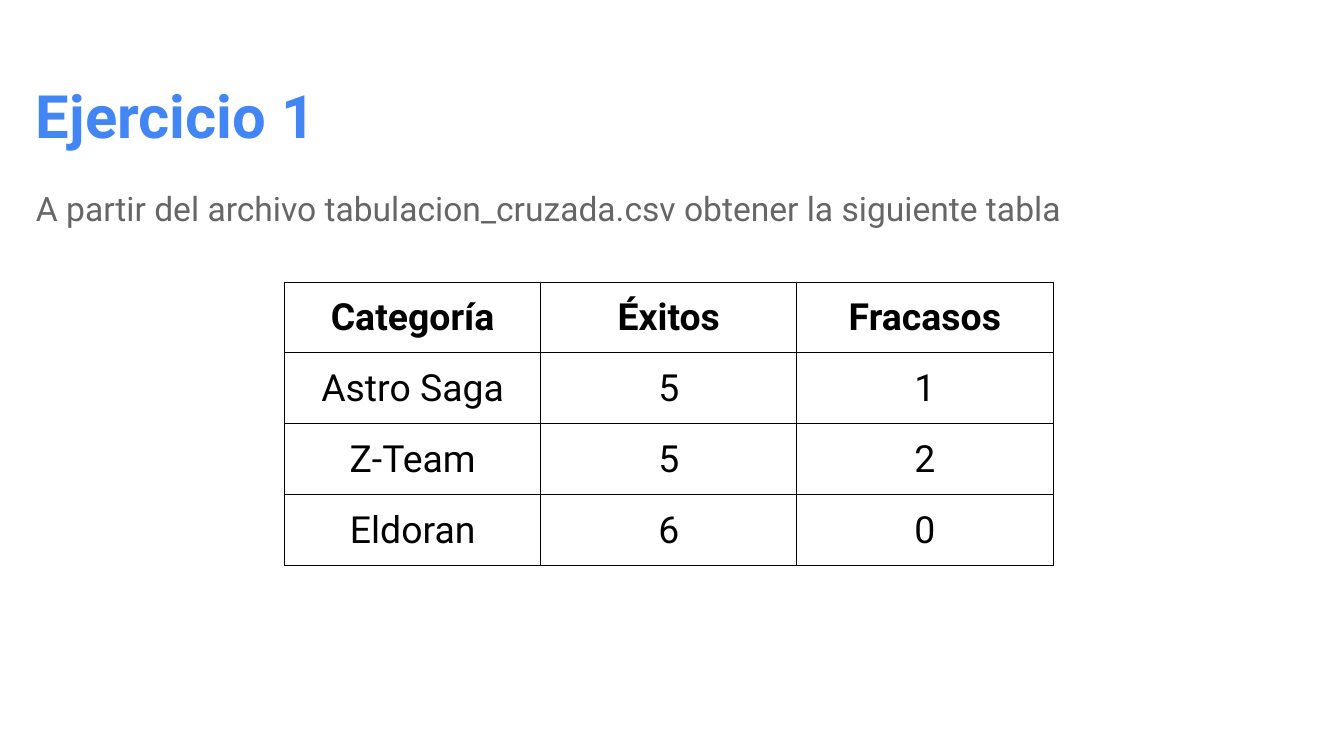
from pptx import Presentation
from pptx.dml.color import RGBColor
from pptx.enum.text import MSO_ANCHOR, MSO_AUTO_SIZE, PP_ALIGN
from pptx.oxml import parse_xml
from pptx.oxml.ns import nsdecls
from pptx.util import Cm, Pt

FONT = "Roboto"
BLUE = RGBColor(0x42, 0x85, 0xF4)
GRAY = RGBColor(0x66, 0x66, 0x66)
BLACK = RGBColor(0, 0, 0)

ROWS = [
    ("Categoría", "Éxitos", "Fracasos"),
    ("Astro Saga", "5", "1"),
    ("Z-Team", "5", "2"),
    ("Eldoran", "6", "0"),
]


def write(tf, text, size=20, color=BLACK, bold=False, align=PP_ALIGN.LEFT,
          line=1.0, after=0):
    """Write one formatted paragraph into a text frame."""
    p = tf.paragraphs[0]
    p.alignment, p.line_spacing = align, line
    p.space_before, p.space_after = Pt(0), Pt(after)
    r = p.add_run()
    r.text = text
    r.font.name, r.font.size, r.font.bold = FONT, Pt(size), bold
    r.font.color.rgb = color


def fill_placeholder(sp, top, height, text, **fmt):
    """Place a placeholder across the slide and fill it with text."""
    sp.left, sp.top, sp.width, sp.height = Cm(0.43), top, Cm(24.38), height
    tf = sp.text_frame
    tf.word_wrap, tf.auto_size = True, MSO_AUTO_SIZE.NONE
    tf.vertical_anchor = MSO_ANCHOR.TOP
    tf.margin_left = tf.margin_right = Cm(0.25)
    tf.margin_top = tf.margin_bottom = Cm(0.25)
    pPr = tf.paragraphs[0]._p.get_or_add_pPr()
    pPr.set("marL", "0")
    pPr.set("indent", "0")
    pPr.append(parse_xml(f"<a:buNone {nsdecls('a')}/>"))
    write(tf, text, **fmt)


def add_borders(cell):
    """Draw a thin black line on each side of a cell."""
    tcPr = cell._tc.get_or_add_tcPr()
    for i, side in enumerate(("lnL", "lnR", "lnT", "lnB")):
        tcPr.insert(i, parse_xml(
            f'<a:{side} {nsdecls("a")} w="{Pt(0.5)}"><a:solidFill>'
            f'<a:srgbClr val="{BLACK}"/></a:solidFill></a:{side}>'))


def add_results(s, rows):
    """Add the table of results with a bold header row."""
    col_w, row_h = Cm(4.84), Cm(1.34)
    n_cols = len(rows[0])
    table = s.shapes.add_table(len(rows), n_cols, Cm(5.38), Cm(5.33),
                               col_w * n_cols, row_h * len(rows)).table
    table.first_row = table.horz_banding = False
    for col in table.columns:
        col.width = col_w
    for i, values in enumerate(rows):
        table.rows[i].height = row_h
        for j, value in enumerate(values):
            cell = table.cell(i, j)
            cell.fill.background()
            cell.vertical_anchor = MSO_ANCHOR.MIDDLE
            cell.margin_left = cell.margin_right = cell.margin_top = Cm(0.03)
            cell.margin_bottom = 0
            write(cell.text_frame, value, bold=i == 0, align=PP_ALIGN.CENTER)
            add_borders(cell)


def main():
    """Build and save the slide."""
    prs = Presentation()
    prs.slide_width, prs.slide_height = Cm(25.4), Cm(14.29)
    s = prs.slides.add_slide(prs.slide_layouts[1])
    fill_placeholder(s.shapes.title, Cm(1.24), Cm(1.6), "Ejercicio 1",
                     size=32, color=BLUE, bold=True)
    fill_placeholder(s.placeholders[1], Cm(3.18), Cm(1.37),
                     "A partir del archivo tabulacion_cruzada.csv "
                     "obtener la siguiente tabla",
                     size=18, color=GRAY, line=1.15, after=16)
    add_results(s, ROWS)
    prs.save("out.pptx")


if __name__ == "__main__":
    main()
